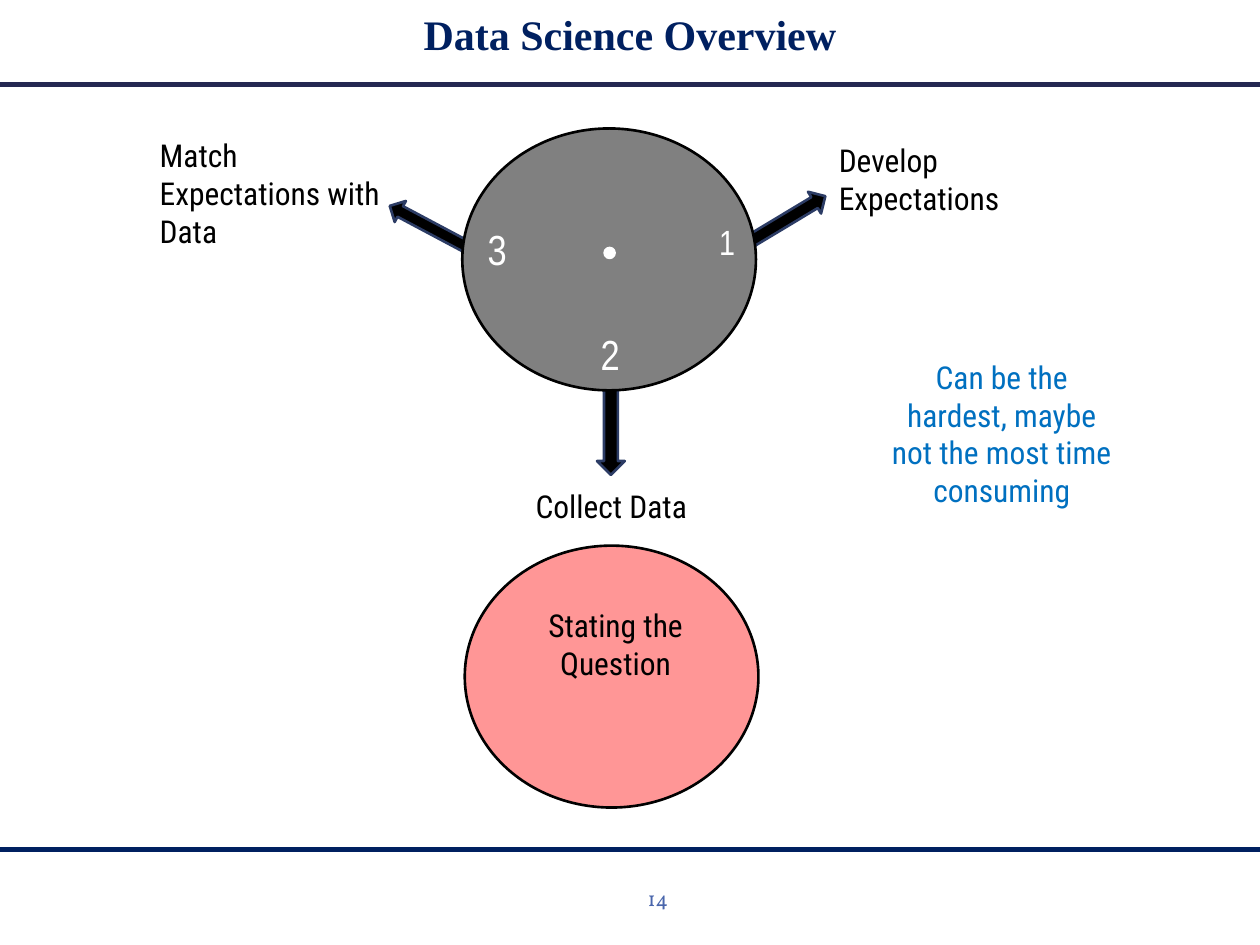
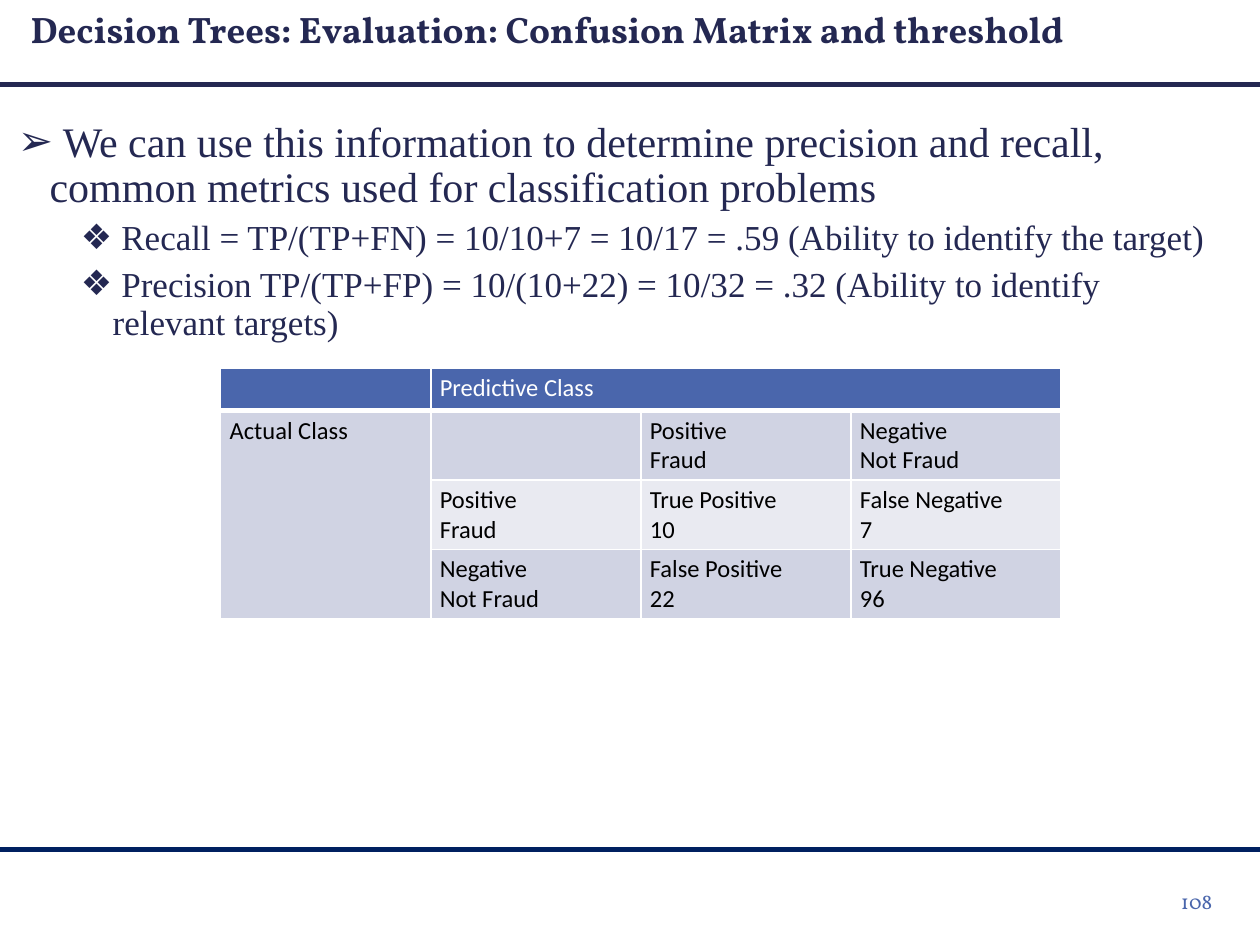
"""Builds two data science slides: a process overview and a confusion matrix."""
from lxml.etree import SubElement
from pptx import Presentation
from pptx.dml.color import RGBColor
from pptx.enum.shapes import MSO_CONNECTOR, MSO_SHAPE
from pptx.enum.text import MSO_ANCHOR, MSO_AUTO_SIZE, PP_ALIGN
from pptx.oxml.ns import qn
from pptx.util import Cm, Pt

HUES = {
    "navy": "002060", "dark": "242852", "blue": "4A66AC", "edge": "2C3C65",
    "sky": "0070C0", "grey": "808080", "red": "FF0000", "black": "000000",
    "white": "FFFFFF", "band": "D0D3E3", "pale": "E9EAF1",
}
INK = {name: RGBColor.from_string(code) for name, code in HUES.items()}
LEFT, MID, RIGHT = PP_ALIGN.LEFT, PP_ALIGN.CENTER, PP_ALIGN.RIGHT


def put(par, text, face, size, hue, align=LEFT, bold=False):
    par.alignment = align
    run = par.add_run()
    run.text = text
    run.font.name = face
    run.font.size = Pt(size)
    run.font.bold = bold
    run.font.color.rgb = INK[hue]


def label(slide, area, text, face, size, hue, align=LEFT):
    frame = slide.shapes.add_textbox(*map(Cm, area)).text_frame
    frame.word_wrap = True
    put(frame.paragraphs[0], text, face, size, hue, align)
    return frame


deck = Presentation()
deck.slide_width, deck.slide_height = Cm(25.4), Cm(19.05)

pages = [
    (5, "Data Science Overview", "Times New Roman", 24, "navy",
     (1.75, 0.05, 21.9, 1.52), "14", (8, 17.6, 5.72, 1.02)),
    (1, "Decision Trees: Evaluation: Confusion Matrix and threshold",
     "Vollkorn", 21, "dark", (0.08, 0, 21.9, 2.03), "108",
     (18.97, 17.65, 5.72, 1.02)),
]
for kind, head, face, size, hue, area, page, foot in pages:
    slide = deck.slides.add_slide(deck.slide_layouts[kind])
    title = slide.shapes.title
    title.left, title.top, title.width, title.height = map(Cm, area)
    frame = title.text_frame
    frame.auto_size = MSO_AUTO_SIZE.NONE
    frame.vertical_anchor = MSO_ANCHOR.TOP
    put(frame.paragraphs[0], head, face, size, hue, MID, True)
    for y, tint in ((17.12, "navy"), (1.7, "dark")):
        rule = slide.shapes.add_connector(
            MSO_CONNECTOR.STRAIGHT, 0, Cm(y), deck.slide_width, Cm(y))
        rule.line.color.rgb = INK[tint]
        rule.line.width = Pt(3)
        SubElement(rule.element.spPr, qn("a:effectLst"))
    frame = label(slide, foot, page, "Vollkorn", 12, "blue", RIGHT)
    frame.vertical_anchor = MSO_ANCHOR.MIDDLE

cycle, matrix = deck.slides

arrow, oval = MSO_SHAPE.RIGHT_ARROW, MSO_SHAPE.OVAL
forms = [
    (arrow, (14.94, 4.17, 1.83, 0.51), 329, "black", "edge"),
    (arrow, (11.4, 8.38, 1.83, 0.56), 90, "black", "edge"),
    (arrow, (7.75, 4.34, 1.83, 0.48), 208, "black", "edge"),
    (oval, (9.32, 2.59, 5.92, 5.28), 0, "grey", "black"),
    (oval, (12.19, 5, 0.2, 0.2), 0, "white", "white"),
    (oval, (9.37, 11, 5.92, 5.28), 0, "red", "black"),
]
for kind, area, turn, fill, edge in forms:
    form = cycle.shapes.add_shape(kind, *map(Cm, area))
    form.rotation = turn
    form.shadow.inherit = False
    form.fill.solid()
    form.fill.fore_color.rgb = INK[fill]
    form.line.color.rgb = INK[edge]
    form.line.width = Pt(1.5)
    if fill == "red":
        tone = form.element.spPr.find(qn("a:solidFill"))[0]
        SubElement(tone, qn("a:alpha"), val="41000")

for x, y, digit, size in ((14.25, 4.32, "1", 20), (11.86, 6.5, "2", 24),
                          (9.58, 4.39, "3", 24)):
    label(cycle, (x, y, 0.64, 1.27), digit, "Arial Narrow", size, "white")

notes = [
    ((16.66, 2.72, 5.23, 1.8), "Develop Expectations", "black", LEFT),
    ((9.3, 9.7, 6.05, 1.02), "Collect Data", "black", MID),
    ((2.97, 2.62, 5.28, 2.57), "Match Expectations with Data", "black", LEFT),
    ((10.72, 12.09, 3.38, 1.8), "Stating the Question", "black", MID),
    ((17.58, 7.09, 5.23, 3.33),
     "Can be the hardest, maybe not the most time consuming", "sky", MID),
]
for area, text, hue, align in notes:
    label(cycle, area, text, "Roboto Condensed", 18, hue, align)

body = matrix.placeholders[1]
body.left, body.top, body.width, body.height = map(
    Cm, (0.18, 2.34, 24.51, 4.45))
frame = body.text_frame
frame.auto_size = MSO_AUTO_SIZE.NONE
frame.margin_left = frame.margin_right = Cm(0.18)
frame.margin_top = frame.margin_bottom = Cm(0.1)
points = [
    (0, " We can use this information to determine precision and recall, "
        "common metrics used for classification problems"),
    (1, " Recall = TP/(TP+FN) = 10/10+7 = 10/17 = .59 "
        "(Ability to identify the target)"),
    (1, " Precision TP/(TP+FP) = 10/(10+22) = 10/32 = .32 "
        "(Ability to identify relevant targets)"),
]
for spot, (level, text) in enumerate(points):
    par = frame.paragraphs[0] if spot == 0 else frame.add_paragraph()
    par.level = level
    props = par._p.get_or_add_pPr()
    props.set("marL", str(Cm((0.64, 1.91)[level])))
    props.set("indent", str(-Cm(0.64)))
    SubElement(props, qn("a:buFont"), typeface="Arial")
    SubElement(props, qn("a:buChar"), char="➢❖"[level])
    par.line_spacing = 0.9
    par.space_before = Pt(5 if level else 0)
    put(par, text, "Times New Roman", (24, 20)[level], "dark")

rows = [
    ["", "Predictive Class", "", ""],
    ["Actual Class", "", "Positive\nFraud", "Negative\nNot Fraud"],
    ["", "Positive\nFraud", "True Positive\n10", "False Negative\n7"],
    ["", "Negative\nNot Fraud", "False Positive\n22", "True Negative\n96"],
]
grid = matrix.shapes.add_table(
    4, 4, Cm(4.45), Cm(7.42), Cm(16.94), Cm(5.06)).table
for col in grid.columns:
    col.width = Cm(4.235)
for r, row in enumerate(rows):
    grid.rows[r].height = Cm(1.4 if r else 0.86)
    for c, text in enumerate(row):
        cell = grid.cell(r, c)
        cell.margin_left = cell.margin_right = Cm(0.18)
        cell.margin_top = cell.margin_bottom = Cm(0.1)
        cell.fill.solid()
        fill = "blue" if r == 0 else "pale" if r == 2 and c else "band"
        cell.fill.fore_color.rgb = INK[fill]
        props = cell._tc.get_or_add_tcPr()
        for spot, side in enumerate("LRTB"):
            thick = (r == 0 and side == "B") or (r == 1 and side == "T")
            edge = SubElement(props, qn("a:ln" + side),
                              w=str(Pt(3 if thick else 1)))
            paint = SubElement(edge, qn("a:solidFill"))
            SubElement(paint, qn("a:srgbClr"), val=HUES["white"])
            props.insert(spot, edge)
        frame = cell.text_frame
        for spot, line in enumerate(text.split("\n")):
            par = frame.paragraphs[0] if spot == 0 else frame.add_paragraph()
            if line:
                put(par, line, "Calibri", 14, "black" if r else "white")
            else:
                SubElement(par._p, qn("a:endParaRPr"), sz="1400")
grid.cell(0, 1).merge(grid.cell(0, 3))
grid.cell(1, 0).merge(grid.cell(3, 0))

deck.save("out.pptx")
